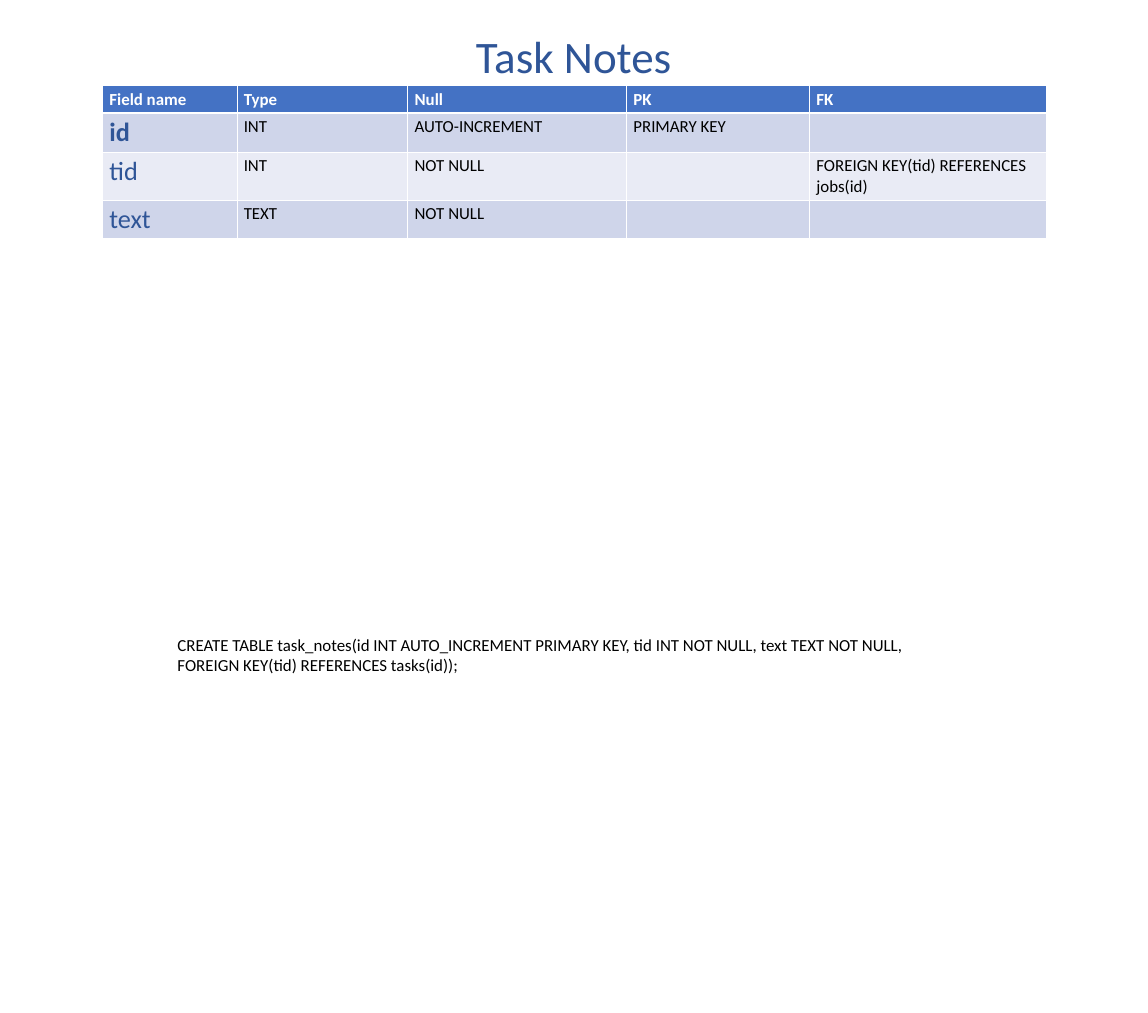
from dataclasses import dataclass
from typing import Any

import pptx
import pptx.dml.color
import pptx.enum.text
import pptx.oxml
import pptx.oxml.ns
import pptx.util
from pptx.util import Inches


@dataclass(frozen=True)
class Theme:
    font: str = "Calibri"
    accent: str = "2F5597"
    header: str = "4472C4"
    bands: tuple[str, str] = ("CFD5EA", "E9EBF5")
    white: str = "FFFFFF"
    black: str = "000000"
    title_size: int = 48
    field_size: int = 28
    text_size: int = 18
    grid_width: float = 1
    header_rule: float = 3


@dataclass(frozen=True)
class Field:
    name: str
    type: str
    null: str
    pk: str = ""
    fk: str = ""
    height: float = 0.57
    bold: bool = False


THEME = Theme()
HEADINGS = ("Field name", "Type", "Null", "PK", "FK")
HEADING_HEIGHT = 0.4
COLUMN_WIDTHS = (1.99, 2.53, 3.24, 2.71, 3.5)
FIELDS = (
    Field("id", "INT", "AUTO-INCREMENT", pk="PRIMARY KEY", bold=True),
    Field("tid", "INT", "NOT NULL", fk="FOREIGN KEY(tid) REFERENCES jobs(id)", height=0.71),
    Field("text", "TEXT", "NOT NULL"),
)
STATEMENT = (
    "CREATE TABLE task_notes(id INT AUTO_INCREMENT PRIMARY KEY, tid INT NOT NULL, "
    "text TEXT NOT NULL, FOREIGN KEY(tid) REFERENCES tasks(id));"
)


def write(frame: Any, text: str, *, size: int = THEME.text_size, color: str = THEME.black,
          bold: bool = False, align: Any = pptx.enum.text.PP_ALIGN.LEFT) -> None:
    frame.word_wrap = True
    paragraph = frame.paragraphs[0]
    paragraph.alignment = align
    paragraph.font.size = pptx.util.Pt(size)
    if not text:
        return
    run = paragraph.add_run()
    run.text = text
    run.font.name = THEME.font
    run.font.size = pptx.util.Pt(size)
    run.font.bold = bold
    run.font.color.rgb = pptx.dml.color.RGBColor.from_string(color)


def style_cell(cell: Any, fill: str, top: float, bottom: float) -> None:
    properties = cell._tc.get_or_add_tcPr()
    grid = THEME.grid_width
    for side, width in (("L", grid), ("R", grid), ("T", top), ("B", bottom)):
        properties.append(pptx.oxml.parse_xml(
            f'<a:ln{side} {pptx.oxml.ns.nsdecls("a")} w="{pptx.util.Pt(width)}">'
            f'<a:solidFill><a:srgbClr val="{THEME.white}"/></a:solidFill></a:ln{side}>'
        ))
    cell.fill.solid()
    cell.fill.fore_color.rgb = pptx.dml.color.RGBColor.from_string(fill)


def add_field_table(slide: Any) -> None:
    heights = (HEADING_HEIGHT, *(field.height for field in FIELDS))
    table = slide.shapes.add_table(
        len(heights), len(HEADINGS), Inches(1.52), Inches(1.27),
        Inches(sum(COLUMN_WIDTHS)), Inches(sum(heights))).table
    for column, width in zip(table.columns, COLUMN_WIDTHS):
        column.width = Inches(width)
    for row, height in zip(table.rows, heights):
        row.height = Inches(height)

    # Headings
    for column, heading in enumerate(HEADINGS):
        cell = table.cell(0, column)
        style_cell(cell, THEME.header, THEME.grid_width, THEME.header_rule)
        write(cell.text_frame, heading, color=THEME.white, bold=True)

    # Fields
    for row, field in enumerate(FIELDS, start=1):
        top = THEME.header_rule if row == 1 else THEME.grid_width
        values = (field.name, field.type, field.null, field.pk, field.fk)
        for column, value in enumerate(values):
            cell = table.cell(row, column)
            style_cell(cell, THEME.bands[(row - 1) % 2], top, THEME.grid_width)
            if column == 0:
                write(cell.text_frame, value, size=THEME.field_size,
                      color=THEME.accent, bold=field.bold)
            else:
                write(cell.text_frame, value)


def main() -> None:
    presentation = pptx.Presentation()
    presentation.slide_width, presentation.slide_height = Inches(17), Inches(15)
    slide = presentation.slides.add_slide(presentation.slide_layouts[5])

    # Title
    title = slide.shapes.title
    title.left, title.top = Inches(6.56), Inches(0.37)
    title.width, title.height = Inches(3.87), Inches(0.91)
    title.text_frame.vertical_anchor = pptx.enum.text.MSO_ANCHOR.TOP
    write(title.text_frame, "Task Notes", size=THEME.title_size, color=THEME.accent,
          align=pptx.enum.text.PP_ALIGN.CENTER)

    # Table definition
    add_field_table(slide)

    # SQL statement
    statement = slide.shapes.add_textbox(Inches(2.53), Inches(9.35), Inches(11.85), Inches(0.71))
    write(statement.text_frame, STATEMENT)

    presentation.save("out.pptx")


if __name__ == "__main__":
    main()
